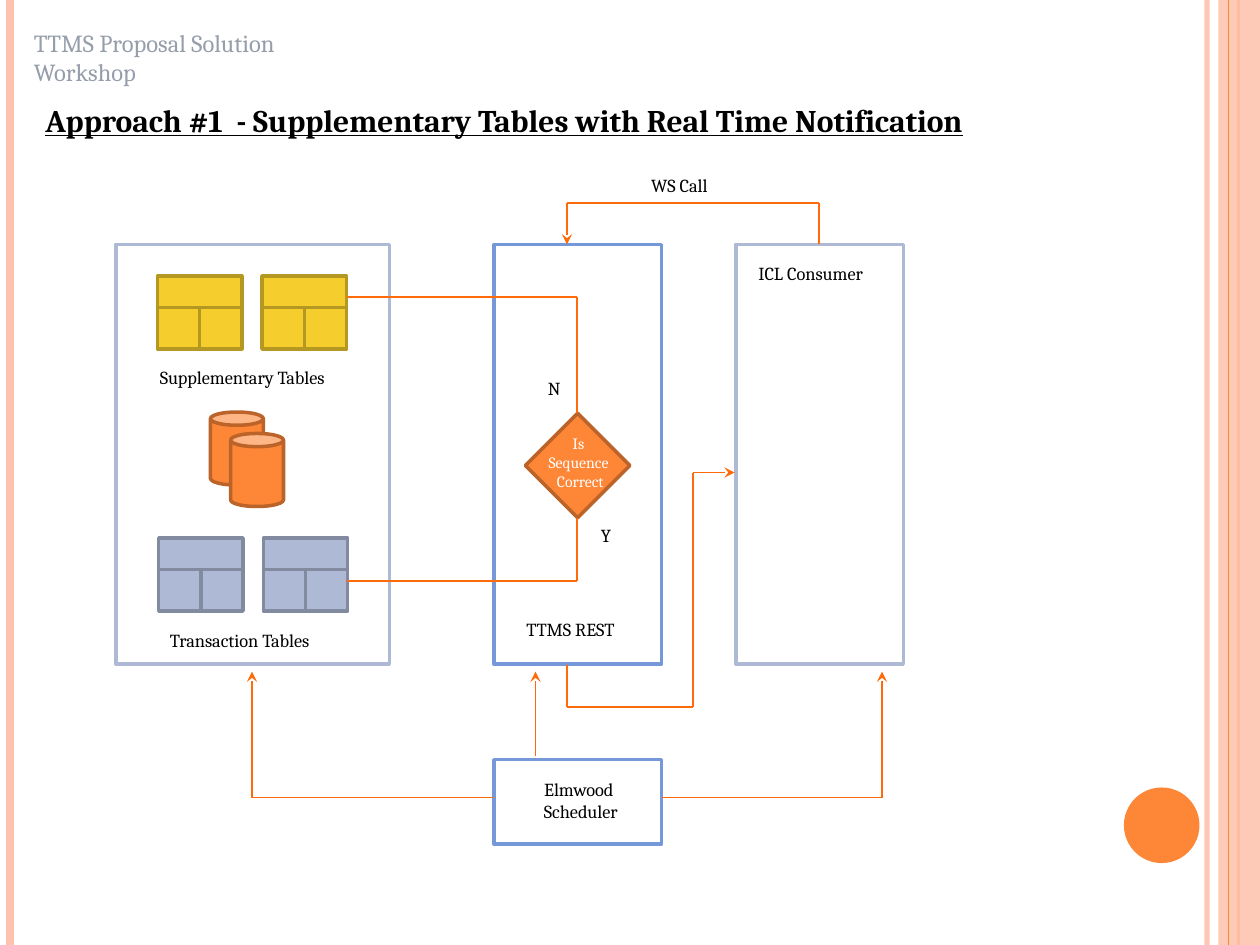
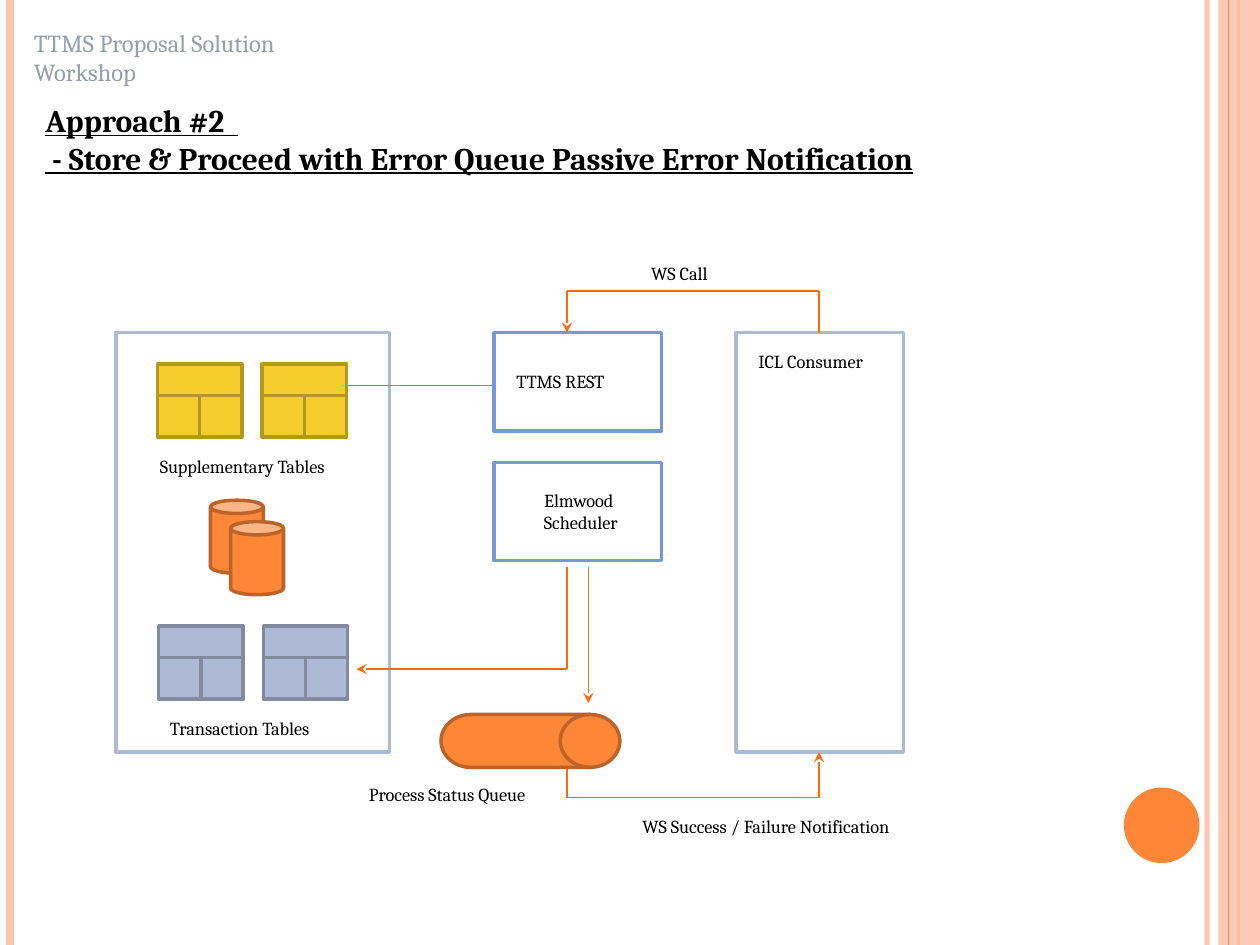
"""Build the two TTMS approach slides."""
from dataclasses import dataclass

from lxml import etree
from pptx import Presentation
from pptx.dml.color import RGBColor
from pptx.enum.shapes import MSO_CONNECTOR, MSO_SHAPE
from pptx.enum.text import MSO_ANCHOR, MSO_AUTO_SIZE, PP_ALIGN
from pptx.oxml.ns import qn
from pptx.util import Inches, Pt

STRAIGHT = MSO_CONNECTOR.STRAIGHT
RECTANGLE = MSO_SHAPE.RECTANGLE
OVAL = MSO_SHAPE.OVAL
CAN = MSO_SHAPE.CAN
DIAMOND = MSO_SHAPE.DIAMOND
DRUM = MSO_SHAPE.FLOWCHART_DIRECT_ACCESS_STORAGE
TOP = MSO_ANCHOR.TOP
NO_FIT = MSO_AUTO_SIZE.NONE
LEFT = PP_ALIGN.LEFT
CENTER = PP_ALIGN.CENTER
TITLE_ONLY = 5


@dataclass(frozen=True)
class Theme:
    """Colours, font and type sizes of the deck."""
    font: str = "Cambria"
    white: str = "FFFFFF"
    black: str = "000000"
    header: str = "969EAB"
    band: str = "FEC3AE"
    orange: str = "FE8637"
    orange_edge: str = "BC6329"
    arrow: str = "FF6B0A"
    yellow: str = "F5CD2D"
    yellow_edge: str = "B59821"
    slate: str = "AEBAD5"
    slate_edge: str = "818A9E"
    blue: str = "7598D9"
    title_size: float = 18
    header_size: float = 14
    label_size: float = 10.5
    small_size: float = 9
    edge_width: float = 2
    arrow_width: float = 1


def apply(target, values):
    """Set every named value on the target."""
    for name, value in values.items():
        setattr(target, name, value)


def set_alpha(shape, percent):
    """Make the direct colours of a shape translucent."""
    for color in shape.element.iter(qn("a:srgbClr")):
        etree.SubElement(color, qn("a:alpha"), val=str(percent * 1000))


class Painter:
    """Holds the theme and the current slide and draws on it."""

    def __init__(self, deck, theme):
        """Keep the deck and its theme."""
        self.deck = deck
        self.theme = theme
        self.slide = None

    def start_slide(self, title_lines):
        """Add a slide with its title and running header."""
        theme = self.theme
        self.slide = self.deck.slides.add_slide(self.deck.slide_layouts[TITLE_ONLY])
        title = self.slide.shapes.title
        apply(title, {"left": Inches(0.26), "top": Inches(0.75), "width": Inches(8.82),
                      "height": Inches(0.4 if len(title_lines) == 1 else 0.71)})
        self.fill_text(title, title_lines, theme.title_size, theme.black,
                       bold=True, underline=True)
        self.label(0.17, 0.17, 2.9, ["TTMS Proposal Solution Workshop"],
                   theme.header_size, theme.header)

    def fill_text(self, box, lines, size, color, align=LEFT, bold=False, underline=False):
        """Fill a box with one paragraph for each line."""
        frame = box.text_frame
        apply(frame, {"word_wrap": True, "auto_size": NO_FIT, "vertical_anchor": TOP})
        for index, line in enumerate(lines):
            para = frame.add_paragraph() if index else frame.paragraphs[0]
            para.alignment = align
            span = para.add_run()
            span.text = line
            apply(span.font, {"name": self.theme.font, "size": Pt(size),
                              "bold": bold, "underline": underline})
            span.font.color.rgb = RGBColor.from_string(color)

    def label(self, left, top, width, lines, size=None, color=None, align=LEFT):
        """Add a text box."""
        size = size or self.theme.label_size
        height = 0.1 + len(lines) * size / 60
        box = self.slide.shapes.add_textbox(
            Inches(left), Inches(top), Inches(width), Inches(height))
        self.fill_text(box, lines, size, color or self.theme.black, align)

    def shape(self, kind, left, top, width, height, fill, edge=None):
        """Add a preset shape, outlined when an edge colour is given."""
        shape = self.slide.shapes.add_shape(
            kind, Inches(left), Inches(top), Inches(width), Inches(height))
        shape.shadow.inherit = False
        shape.fill.solid()
        shape.fill.fore_color.rgb = RGBColor.from_string(fill)
        if edge:
            shape.line.color.rgb = RGBColor.from_string(edge)
            shape.line.width = Pt(self.theme.edge_width)
        else:
            shape.line.fill.background()
        return shape

    def line(self, start, end, color, width):
        """Add a straight line between two points."""
        line = self.slide.shapes.add_connector(
            STRAIGHT, *(Inches(value) for value in (*start, *end)))
        line.line.color.rgb = RGBColor.from_string(color)
        line.line.width = Pt(width)
        etree.SubElement(line.element.spPr, qn("a:effectLst"))
        return line

    def route(self, *points, arrow=True):
        """Join points with lines and point an arrow at the last one."""
        for start, end in zip(points, points[1:]):
            line = self.line(start, end, self.theme.arrow, self.theme.arrow_width)
        if arrow:
            outline = line.element.spPr.find(qn("a:ln"))
            etree.SubElement(outline, qn("a:tailEnd"), type="stealth")

    def panel(self, left, top, width, height, edge):
        """Add a white outlined panel."""
        self.shape(RECTANGLE, left, top, width, height, self.theme.white, edge)

    def table_icon(self, left, top, fill, edge):
        """Add a small database table symbol."""
        width, height, header = 0.67, 0.58, 0.25
        self.shape(RECTANGLE, left, top, width, height, fill, edge)
        middle, split = left + width / 2, top + header
        self.line((left, split), (left + width, split), edge, self.theme.edge_width)
        self.line((middle, split), (middle, top + height), edge, self.theme.edge_width)

    def store(self, top):
        """Add the data store with its tables and databases."""
        theme = self.theme
        self.panel(0.92, top, 2.17, 3.33, theme.slate)
        for left, offset, fill, edge in ((1.25, 0.25, theme.yellow, theme.yellow_edge),
                                         (1.26, 2.33, theme.slate, theme.slate_edge)):
            for column in range(2):
                self.table_icon(left + column * 0.83, top + offset, fill, edge)
        for left, offset in ((1.67, 1.33), (1.83, 1.5)):
            self.shape(CAN, left, top + offset, 0.42, 0.58,
                       theme.orange, theme.orange_edge)
        self.label(1.17, top + 0.92, 1.74, ["Supplementary Tables"])
        self.label(1.25, top + 3, 1.51, ["Transaction Tables"])

    def consumer(self, top):
        """Add the consumer and its call to the service."""
        self.panel(5.84, top, 1.33, 3.33, self.theme.slate)
        self.label(5.92, top + 0.09, 1.2, ["ICL Consumer"])
        bend = top - 0.33
        self.route((6.5, top), (6.5, bend), (4.5, bend), (4.5, top))
        self.label(5.07, top - 0.61, 0.76, ["WS Call"])

    def scheduler(self, top, height, text_top):
        """Add the scheduler panel."""
        self.panel(3.92, top, 1.33, height, self.theme.blue)
        self.label(4.17, text_top, 0.88, ["Elmwood ", "Scheduler"], align=CENTER)

    def bands(self):
        """Draw the side bands and move them to the shared layout."""
        theme = self.theme

        def rule(x, color, width):
            """Draw one full-height rule."""
            return self.line((x, 0), (x, 7.5), color, width)

        inner = rule(9.58, theme.band, 3)
        set_alpha(inner, 93)
        outer = [rule(0.08, theme.band, 4.5), rule(9.83, theme.orange, 1.5)]
        strip = self.shape(RECTANGLE, 9.67, 0, 0.33, 7.5, theme.band)
        set_alpha(strip, 87)
        thin = rule(9.75, theme.orange, 0.75)
        dot = self.shape(OVAL, 8.92, 6.25, 0.6, 0.6, theme.orange)
        for item in (inner, *outer, strip, thin, dot):
            self.slide.slide_layout.shapes.element.append(item.element)


def draw_real_time(painter):
    """Draw approach 1."""
    theme = painter.theme
    top = 1.94
    painter.store(top)
    painter.panel(3.92, top, 1.33, 3.33, theme.blue)
    painter.shape(DIAMOND, 4.17, 3.28, 0.83, 0.83, theme.orange, theme.orange_edge)
    painter.route((2.75, 2.36), (4.58, 2.36), (4.58, 3.28), arrow=False)
    painter.route((2.75, 4.61), (4.58, 4.61), (4.58, 4.11), arrow=False)
    painter.label(4.21, 3.39, 0.79, ["Is ", "Sequence ", "Correct"],
                  theme.small_size, theme.white, CENTER)
    painter.label(4.08, 4.86, 1.07, ["TTMS REST"])
    painter.label(4.67, 4.11, 0.31, ["Y"])
    painter.label(4.25, 2.94, 0.32, ["N"])
    painter.consumer(top)
    painter.route((4.5, 5.28), (4.5, 5.61), (5.5, 5.61), (5.5, 3.75), (5.83, 3.75))
    painter.scheduler(6.03, 0.67, 6.13)
    painter.route((3.92, 6.33), (2, 6.33), (2, 5.33))
    painter.route((4.25, 6), (4.25, 5.33))
    painter.route((5.25, 6.33), (7, 6.33), (7, 5.33))


def draw_error_queue(painter):
    """Draw approach 2."""
    theme = painter.theme
    top = 2.64
    painter.store(top)
    painter.panel(3.92, top, 1.33, 0.78, theme.blue)
    painter.label(4, 2.89, 1.07, ["TTMS REST"])
    painter.scheduler(3.67, 0.78, 3.83)
    painter.route((2.75, 3.06), (3.92, 3.06), arrow=False)
    painter.route((4.5, 4.5), (4.5, 5.31), (2.83, 5.31))
    painter.consumer(top)
    painter.route((4.5, 6.08), (4.5, 6.33), (6.5, 6.33), (6.5, 5.97))
    painter.label(5, 6.42, 2.47, ["WS Success / Failure Notification"])
    painter.shape(DRUM, 3.5, 5.67, 1.42, 0.42, theme.orange, theme.orange_edge)
    painter.route((4.67, 4.5), (4.67, 5.58))
    painter.label(2.83, 6.17, 1.68, ["Process Status Queue"])


def main():
    """Build and save the deck."""
    deck = Presentation()
    apply(deck, {"slide_width": Inches(10), "slide_height": Inches(7.5)})
    painter = Painter(deck, Theme())
    painter.start_slide(["Approach #1  - Supplementary Tables with Real Time Notification"])
    painter.bands()
    draw_real_time(painter)
    painter.start_slide(["Approach #2  ",
                         " - Store & Proceed with Error Queue Passive Error Notification"])
    draw_error_queue(painter)
    deck.save("out.pptx")


main()
